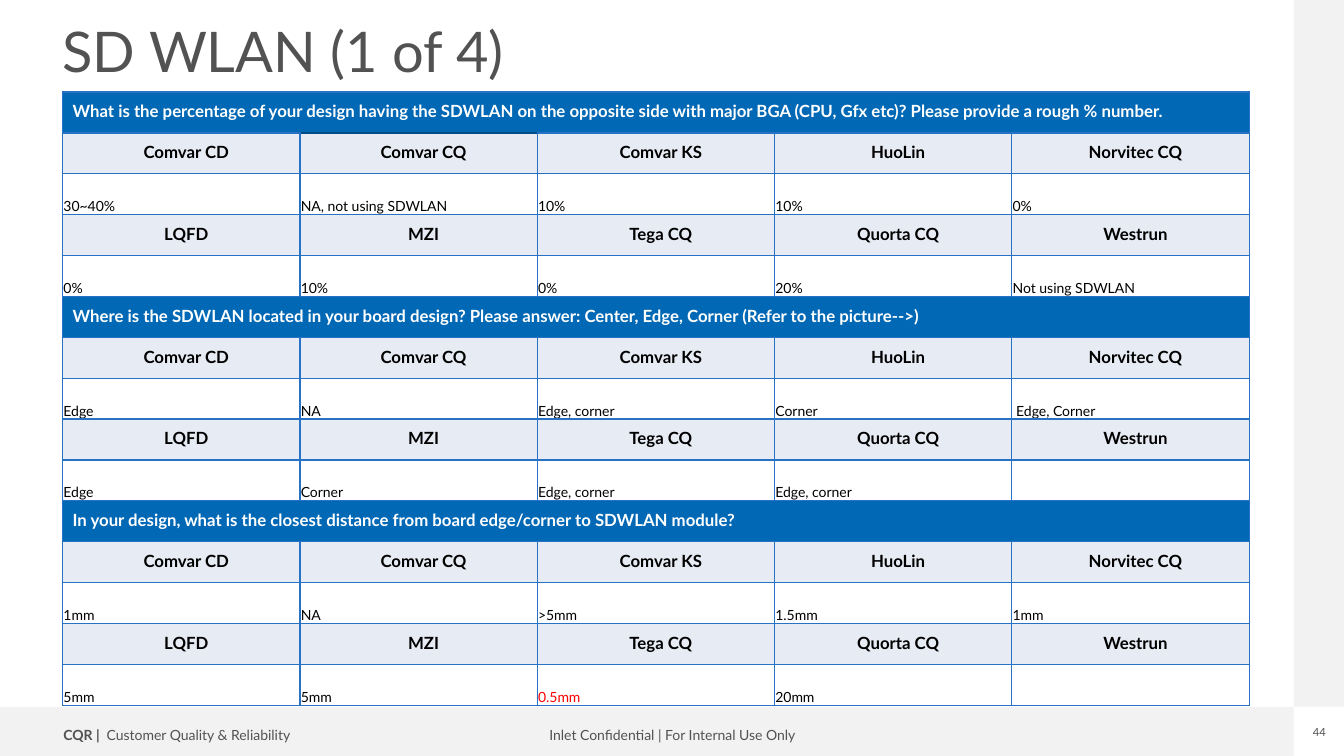
from lxml import etree
from pptx import Presentation
from pptx.dml.color import RGBColor
from pptx.enum.shapes import MSO_SHAPE
from pptx.enum.text import MSO_ANCHOR, PP_ALIGN
from pptx.oxml.ns import qn
from pptx.util import Cm, Pt

RECT = MSO_SHAPE.RECTANGLE
LEFT, CENTER = PP_ALIGN.LEFT, PP_ALIGN.CENTER
MIDDLE, BOTTOM = MSO_ANCHOR.MIDDLE, MSO_ANCHOR.BOTTOM
FONT = "Lato"
COLORS = {
    "band": "F2F2F2", "grey": "525252", "question": "0068B5", "vendor": "E7EBF3",
    "white": "FFFFFF", "black": "000000", "red": "FF0000",
    "border": "2872C5", "dark_border": "004A86",
}

VENDORS = [
    ["Comvar CD", "Comvar CQ", "Comvar KS", "HuoLin", "Norvitec CQ"],
    ["LQFD", "MZI", "Tega CQ", "Quorta CQ", "Westrun"],
]
SURVEY = [
    ("What is the percentage of your design having the SDWLAN on the opposite side "
     "with major BGA (CPU, Gfx etc)? Please provide a rough % number.",
     [["30~40%", "NA, not using SDWLAN", "10%", "10%", "0%"],
      ["0%", "10%", "0%", "20%", "Not using SDWLAN"]]),
    ("Where is the SDWLAN located in your board design? Please answer: "
     "Center, Edge, Corner (Refer to the picture-->)",
     [["Edge", "NA", "Edge, corner", "Corner", " Edge, Corner"],
      ["Edge", "Corner", "Edge, corner", "Edge, corner", ""]]),
    ("In your design, what is the closest distance from board edge/corner to SDWLAN module?",
     [["1mm", "NA", ">5mm", "1.5mm", "1mm"],
      ["5mm", "5mm", "0.5mm", "20mm", ""]]),
]
HIGHLIGHTED = "0.5mm"
COLS, ROWS = 5, 15
COL_W, ROW_H = 5.98, 1.03


def rgb(name):
    return RGBColor.from_string(COLORS[name])


def set_font(p, size, color, bold=False):
    p.font.name, p.font.size, p.font.bold = FONT, Pt(size), bold
    p.font.color.rgb = rgb(color)


def set_margins(box, left=0, top=0, right=0, bottom=0):
    box.margin_left, box.margin_top = Cm(left), Cm(top)
    box.margin_right, box.margin_bottom = Cm(right), Cm(bottom)


def add_band(s, x, y, w, h):
    sp = s.shapes.add_shape(RECT, Cm(x), Cm(y), Cm(w), Cm(h))
    sp.shadow.inherit = False
    sp.fill.solid()
    sp.fill.fore_color.rgb = rgb("band")
    sp.line.fill.background()


def add_text(s, x, y, w, h, text, size, align=LEFT, spacing=0.9, inset=True, wrap=False):
    """Add a one-line text box and return its paragraph."""
    tf = s.shapes.add_textbox(Cm(x), Cm(y), Cm(w), Cm(h)).text_frame
    tf.word_wrap = wrap
    if not inset:
        set_margins(tf)
    p = tf.paragraphs[0]
    p.alignment, p.line_spacing = align, spacing
    p.add_run().text = text
    set_font(p, size, "grey")
    return p


def set_borders(cell, top="border"):
    tc_pr = cell._tc.get_or_add_tcPr()
    sides = {"a:lnL": "border", "a:lnR": "border", "a:lnT": top, "a:lnB": "border"}
    for i, (tag, color) in enumerate(sides.items()):
        ln = etree.Element(qn(tag), w=str(Pt(1)))
        fill = etree.SubElement(ln, qn("a:solidFill"))
        etree.SubElement(fill, qn("a:srgbClr"), val=COLORS[color])
        tc_pr.insert(i, ln)


def fill_cell(cell, text, fill, size, color, align=LEFT, anchor=MIDDLE, bold=True,
              top_border="border"):
    cell.fill.solid()
    cell.fill.fore_color.rgb = rgb(fill)
    set_borders(cell, top_border)
    cell.vertical_anchor = anchor
    if anchor == BOTTOM:
        set_margins(cell, 0.02, 0.02, 0.02)
    else:
        set_margins(cell, 0.25)
    cell.text = text
    p = cell.text_frame.paragraphs[0]
    p.alignment, p.line_spacing = align, 0.9
    set_font(p, size, color, bold)


def add_survey(s, x, y):
    table = s.shapes.add_table(ROWS, COLS, Cm(x), Cm(y),
                               Cm(COLS * COL_W), Cm(ROWS * ROW_H)).table
    for col in table.columns:
        col.width = Cm(COL_W)
    for row in table.rows:
        row.height = Cm(ROW_H)
    r = 0
    for question, answers in SURVEY:
        for c in range(COLS):
            fill_cell(table.cell(r, c), "" if c else question, "question", 12, "white")
        table.cell(r, 0).merge(table.cell(r, COLS - 1))
        r += 1
        for vendor_row, answer_row in zip(VENDORS, answers):
            for c, (vendor, answer) in enumerate(zip(vendor_row, answer_row)):
                top = "dark_border" if (r, c) == (1, 1) else "border"
                fill_cell(table.cell(r, c), vendor, "vendor", 12, "black", CENTER,
                          top_border=top)
                color = "red" if answer == HIGHLIGHTED else "black"
                fill_cell(table.cell(r + 1, c), answer, "white", 10, color,
                          anchor=BOTTOM, bold=False)
            r += 2


def main():
    prs = Presentation()
    prs.slide_width, prs.slide_height = Cm(33.87), Cm(19.05)
    s = prs.slides.add_slide(prs.slide_layouts[6])

    add_band(s, 0, 17.81, 32.6, 1.24)
    add_band(s, 32.6, 0, 1.27, 17.81)
    add_text(s, 13.44, 18.24, 7.01, 0.64,
             "Inlet Confidential | For Internal Use Only", 10, CENTER)
    p = add_text(s, 1.35, 18.24, 6.45, 0.64, "CQR | ", 10)
    p.runs[0].font.bold = True
    p.add_run().text = " Customer Quality & Reliability"
    add_text(s, 33.07, 18.29, 0.36, 0.33, "44", 8, CENTER, spacing=1, inset=False)
    add_text(s, 1.58, 0.61, 30.58, 2.64, "SD WLAN (1 of 4)", 40, inset=False, wrap=True)
    add_survey(s, 1.58, 2.32)

    prs.save("out.pptx")


if __name__ == "__main__":
    main()
